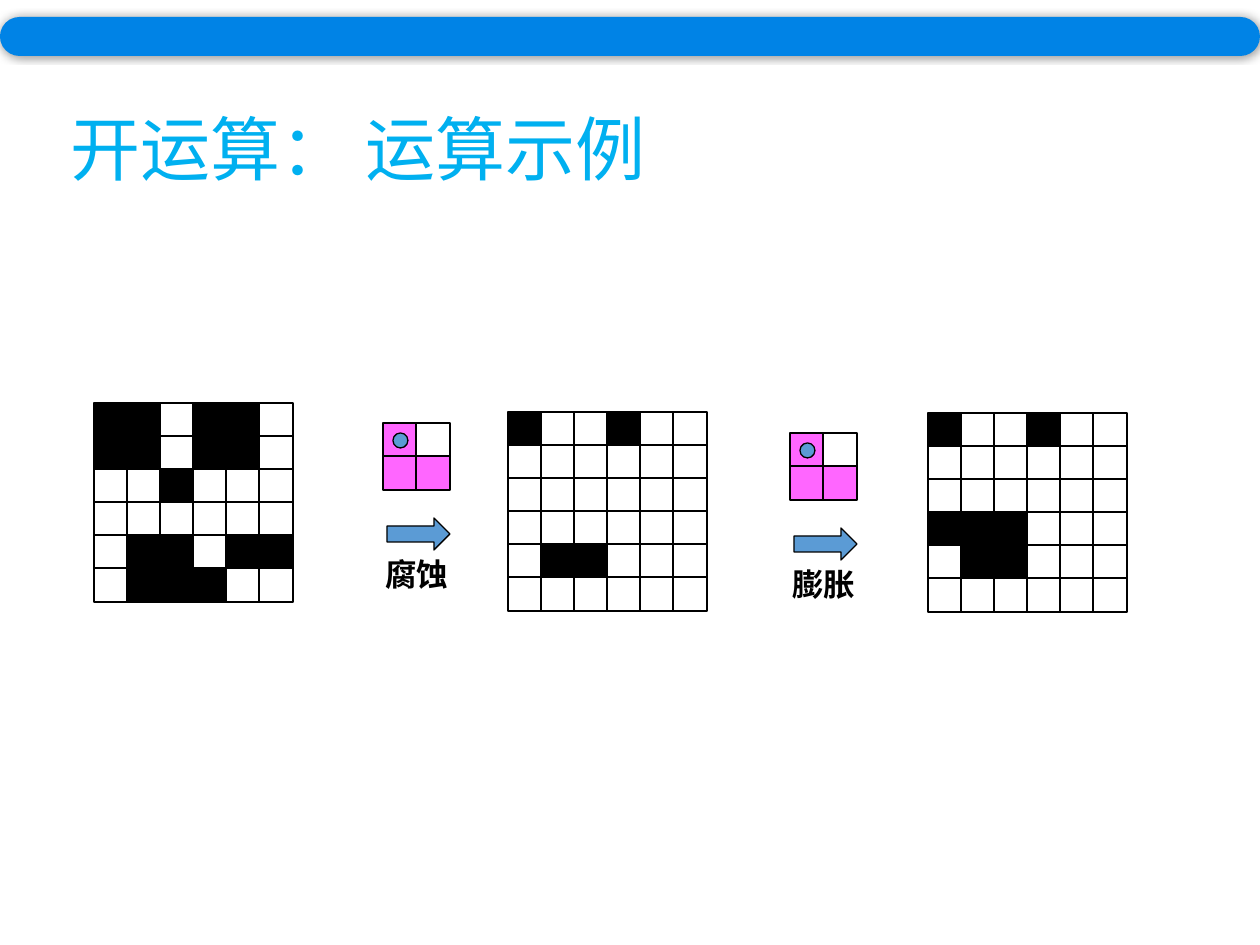
from lxml import etree
from pptx import Presentation, util as u
from pptx.dml.color import RGBColor
from pptx.enum import shapes, text
from pptx.oxml import ns

PX = 914400 // 126
PITCH, CELL = 33, 34
TITLE = "开运算： 运算示例"
COLORS = {"#": "000000", ".": "FFFFFF", "*": "FF66FF"}
BLUE = "5B9BD5"

GRIDS = [
    (94, 403, ["##.##.", "##.##.", "..#...", "......", ".##.##", ".###.."]),
    (508, 412, ["#..#..", "......", "......", "......", ".##...", "......"]),
    (928, 413, ["#..#..", "......", "......", "###...", ".##...", "......"]),
]
KERNEL = ["*.", "**"]
STEPS = [(383, 423, "腐蚀"), (790, 433, "膨胀")]


def color(value):
    return RGBColor.from_string(value)


def add_box(kind, left, top, width, height, fill, outlined=True):
    box = slide.shapes.add_shape(kind, *(n * PX for n in (left, top, width, height)))
    box.shadow.inherit = False
    box.fill.solid()
    box.fill.fore_color.rgb = color(fill)
    if outlined:
        box.line.color.rgb = color("000000")
        box.line.width = u.Pt(0.75)
    else:
        box.line.fill.background()
    return box


def add_cells(left, top, rows):
    for r, row in enumerate(rows):
        for c, mark in enumerate(row):
            add_box(shapes.MSO_SHAPE.RECTANGLE, left + c * PITCH, top + r * PITCH,
                    CELL, CELL, COLORS[mark])


def add_text(left, top, width, height, words, size, font, fill, bold=False):
    box = slide.shapes.add_textbox(*(n * PX for n in (left, top, width, height)))
    frame = box.text_frame
    frame.word_wrap = True
    frame.text = words
    run = frame.paragraphs[0].runs[0]
    run.font.size = u.Pt(size)
    run.font.name = font
    run.font.bold = bold
    run.font.color.rgb = color(fill)
    return frame, run


def add_step(left, top, words):
    add_box(shapes.MSO_SHAPE.RIGHT_ARROW, left + 4, top + 95, 63, 32, BLUE)
    add_cells(left, top, KERNEL)
    add_box(shapes.MSO_SHAPE.OVAL, left + 10, top + 10, 15, 15, BLUE)
    add_text(left - 10, top + 126, 105, 50, words, 18, "Times New Roman", "000000", True)


def add_glow(box):
    effects = box._element.spPr.find(ns.qn("a:effectLst"))
    shadow = etree.SubElement(effects, ns.qn("a:outerShdw"),
                              blurRad=str(u.Pt(5)), dist="0", dir="0")
    shade = etree.SubElement(shadow, ns.qn("a:srgbClr"), val="000000")
    etree.SubElement(shade, ns.qn("a:alpha"), val="40000")


deck = Presentation()
deck.slide_width, deck.slide_height = 1260 * PX, 945 * PX
slide = deck.slides.add_slide(deck.slide_layouts[6])

heading, heading_run = add_text(58, 93, 833, 120, TITLE, 40, "Noto Sans CJK SC", "00B0F0")
heading.vertical_anchor = text.MSO_ANCHOR.MIDDLE
heading.paragraphs[0].line_spacing = 0.9
etree.SubElement(heading_run.font._element, ns.qn("a:ea"), typeface="Noto Sans CJK SC")

for step in STEPS:
    add_step(*step)
for grid in GRIDS:
    add_cells(*grid)

banner = add_box(shapes.MSO_SHAPE.ROUNDED_RECTANGLE, 0, 17, 1260, 39, "0083E6", False)
banner.adjustments[0] = 0.5
add_glow(banner)

deck.save("out.pptx")
